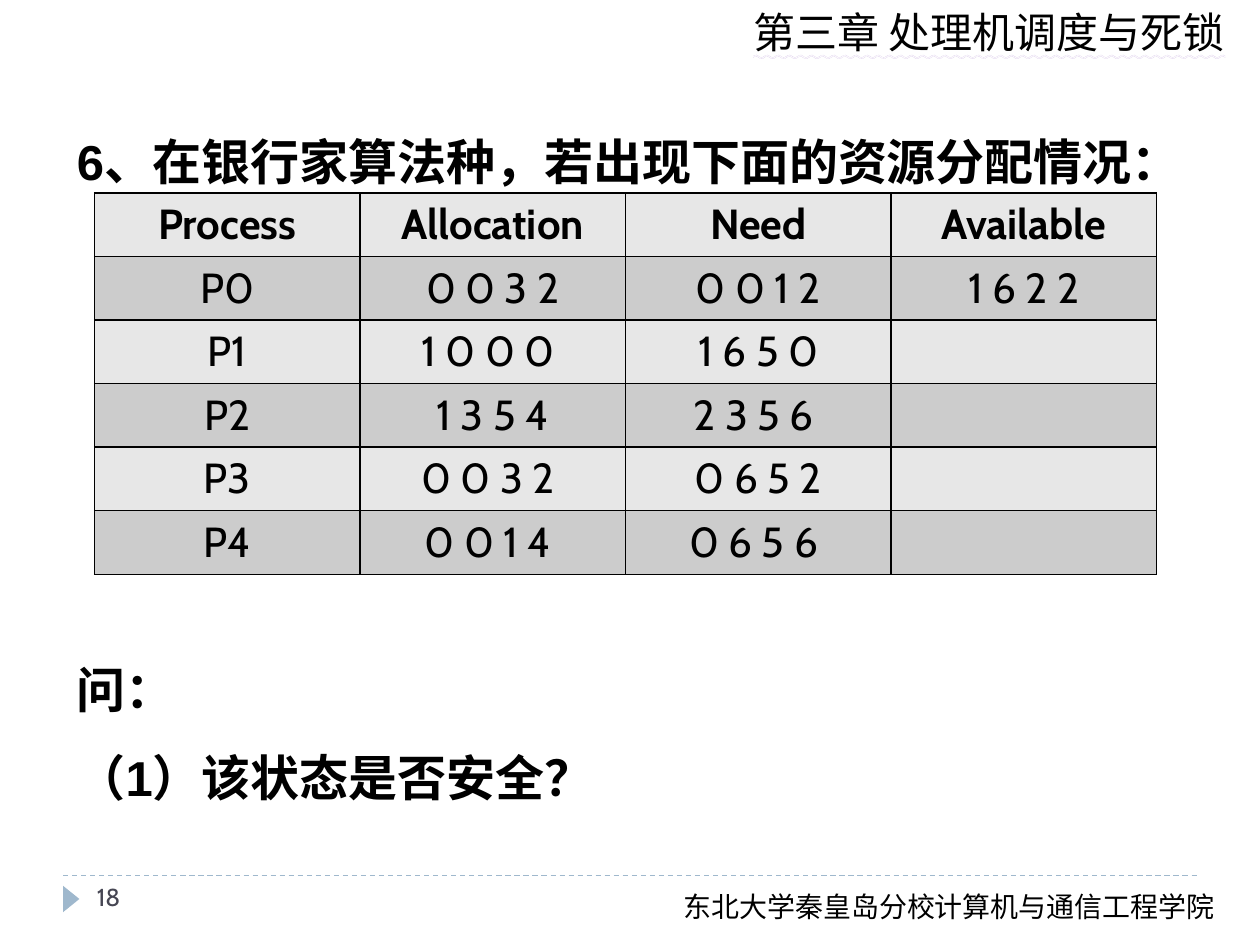
"""Build the banker's algorithm exercise slide."""
import pptx
import pptx.util
import pptx.dml.color
import pptx.enum.dml
import pptx.enum.shapes
import pptx.enum.text
import pptx.oxml
import pptx.oxml.ns
from lxml import etree

Inches = pptx.util.Inches
qn = pptx.oxml.ns.qn
HUES = {"ink": "000000", "blue": "9FB8CD", "slate": "464653",
        "wave": "C9B0E0", "light": "E7E7E7", "dark": "CCCCCC"}


def tint(name):
    return pptx.dml.color.RGBColor.from_string(HUES[name])


def write(shape, text, size, face="Cabin", hue="ink", bold=False):
    frame = shape.text_frame
    frame.text = text
    frame.word_wrap = True
    for para in frame.paragraphs:
        for run in para.runs:
            run.font.size = pptx.util.Pt(size)
            run.font.name = face
            run.font.bold = bold
            run.font.color.rgb = tint(hue)
    return frame


deck = pptx.Presentation()
deck.slide_width, deck.slide_height = Inches(10), Inches(7.5)
slide = deck.slides.add_slide(deck.slide_layouts[5])
shapes = slide.shapes

rule = shapes.add_connector(pptx.enum.shapes.MSO_CONNECTOR.STRAIGHT,
                            Inches(0.5), Inches(6.95), Inches(9.5), Inches(6.95))
rule.line.color.rgb = tint("blue")
rule.line.width = pptx.util.Pt(0.75)
rule.line.dash_style = pptx.enum.dml.MSO_LINE.DASH
etree.SubElement(rule.element.spPr, qn("a:effectLst"))

mark = shapes.add_shape(pptx.enum.shapes.MSO_SHAPE.ISOSCELES_TRIANGLE,
                        Inches(0.46), Inches(7.07), Inches(0.21), Inches(0.13))
mark.rotation = 90
mark.shadow.inherit = False
mark.fill.solid()
mark.fill.fore_color.rgb = tint("blue")
mark.line.fill.background()

head = shapes.add_textbox(Inches(5.88), 0, Inches(4), Inches(0.5))
frame = write(head, "第三章 处理机调度与死锁", 24)
font = frame.paragraphs[0].runs[0].font
font.underline = pptx.enum.text.MSO_UNDERLINE.WAVY_DOUBLE_LINE
wave = pptx.oxml.parse_xml(
    '<a:uFill xmlns:a="http://schemas.openxmlformats.org/drawingml/2006/main">'
    f'<a:solidFill><a:srgbClr val="{HUES["wave"]}"/></a:solidFill></a:uFill>')
frame.paragraphs[0].runs[0].font.fill
frame.paragraphs[0].runs[0]._r.rPr.find(qn("a:solidFill")).addnext(wave)

foot = shapes.add_textbox(Inches(5.33), Inches(7.01), Inches(4.47), Inches(0.37))
write(foot, "东北大学秦皇岛分校计算机与通信工程学院", 16)
page = shapes.add_textbox(Inches(0.67), Inches(6.95), Inches(2.17), Inches(0.4))
write(page, "18", 14, hue="slate")

title = shapes.title
title.left, title.top = Inches(0.51), Inches(0.76)
title.width, title.height = Inches(8.98), Inches(0.77)
ask = shapes.add_textbox(Inches(0.51), Inches(4.95), Inches(8.98), Inches(1.72))
for box, text in ((title, "6、在银行家算法种，若出现下面的资源分配情况："),
                  (ask, "问：\n（1）该状态是否安全？")):
    frame = write(box, text, 28, "Arial", bold=True)
    frame.vertical_anchor = pptx.enum.text.MSO_ANCHOR.TOP
    for para in frame.paragraphs:
        para.alignment = pptx.enum.text.PP_ALIGN.LEFT
        para.line_spacing = 1.5

ROWS = [("Process", "Allocation", "Need", "Available"),
        ("P0", "0 0 3 2", "0 0 1 2", "1 6 2 2"),
        ("P1", "1 0 0 0 ", "1 6 5 0", ""),
        ("P2", "1 3 5 4", "2 3 5 6 ", ""),
        ("P3", "0 0 3 2 ", "0 6 5 2", ""),
        ("P4", "0 0 1 4 ", "0 6 5 6 ", "")]
table = shapes.add_table(len(ROWS), 4, Inches(0.75), Inches(1.53),
                         Inches(8.43), Inches(3.03)).table
table.first_row = table.horz_banding = False
for r, row in enumerate(ROWS):
    for c, text in enumerate(row):
        cell = table.cell(r, c)
        write(cell, text, 24, bold=r == 0)
        cell.text_frame.paragraphs[0].alignment = pptx.enum.text.PP_ALIGN.CENTER
        cell.vertical_anchor = pptx.enum.text.MSO_ANCHOR.MIDDLE
        props = cell._tc.get_or_add_tcPr()
        for side in ("a:lnL", "a:lnR", "a:lnT", "a:lnB"):
            edge = etree.SubElement(props, qn(side), w="12700")
            fill = etree.SubElement(edge, qn("a:solidFill"))
            etree.SubElement(fill, qn("a:srgbClr"), val=HUES["ink"])
        cell.fill.solid()
        cell.fill.fore_color.rgb = tint("dark" if r % 2 else "light")

deck.save("out.pptx")
